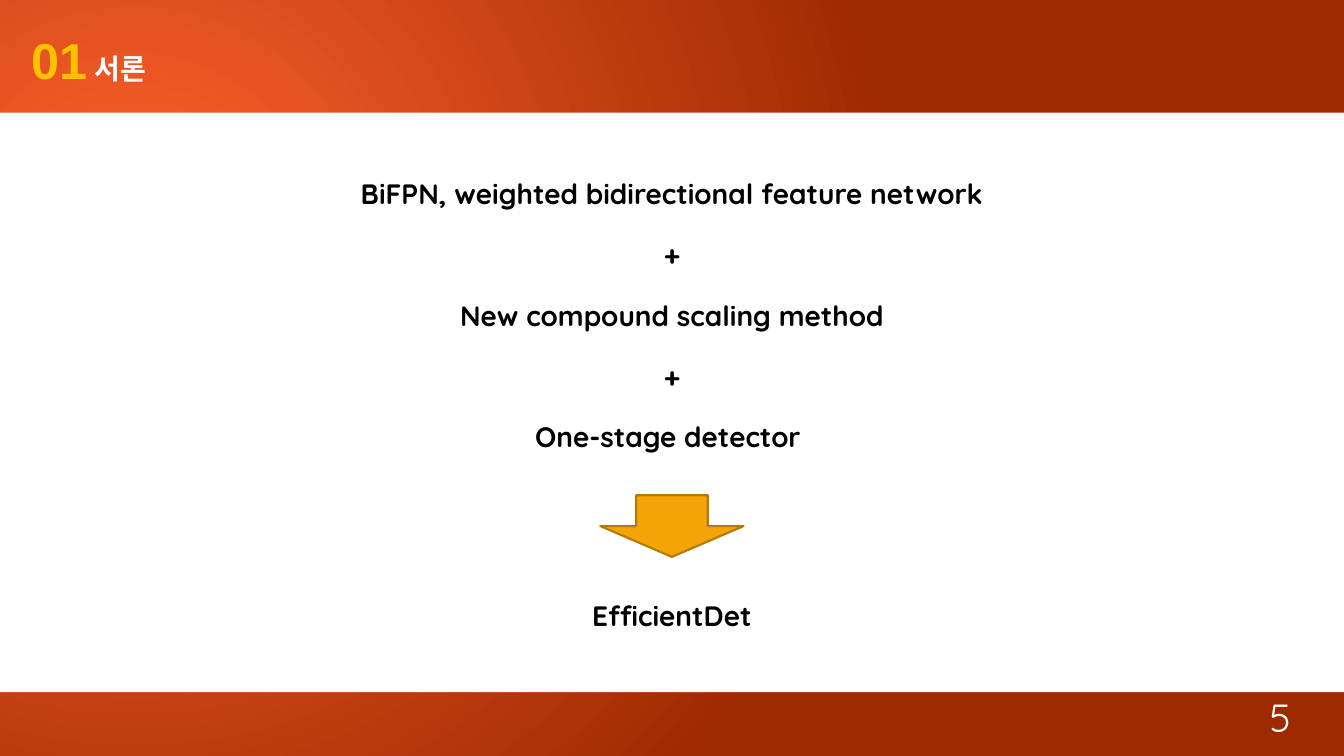
from dataclasses import dataclass

from pptx import Presentation
from pptx.dml.color import RGBColor
from pptx.enum.shapes import MSO_SHAPE
from pptx.enum.text import MSO_ANCHOR, MSO_AUTO_SIZE, PP_ALIGN
from pptx.oxml import parse_xml
from pptx.oxml.ns import nsdecls, qn
from pptx.util import Pt


@dataclass(frozen=True)
class Theme:
    glow: str = "FF622E"
    rust: str = "9E2A00"
    panel: str = "FFFFFF"
    number: dict = None
    heading: dict = None
    statement: dict = None
    page_number: dict = None
    arrow: str = "F5A408"
    arrow_line: str = "B57906"


THEME = Theme(
    number={"name": "Arial", "size": Pt(36), "bold": True, "color": "FFC000"},
    heading={"name": "Arial", "size": Pt(20), "bold": True, "color": "FFFFFF"},
    statement={"name": "Quicksand", "size": Pt(20), "bold": True, "color": "000000"},
    page_number={"name": "Quicksand", "size": Pt(28), "bold": False, "color": "FFFFFF"},
)

WIDTH, HEIGHT = 960, 540
STATEMENTS = [
    "BiFPN, weighted bidirectional feature network",
    "+",
    "New compound scaling method",
    "+",
    "One-stage detector ",
]


def add_span(para, text, style):
    span = para.add_run()
    span.text = text
    for key, value in style.items():
        if key == "color":
            span.font.color.rgb = RGBColor.from_string(value)
        else:
            setattr(span.font, key, value)


def format_frame(frame, anchor, auto_size=MSO_AUTO_SIZE.NONE):
    settings = {"word_wrap": True, "vertical_anchor": anchor, "auto_size": auto_size}
    for key, value in settings.items():
        setattr(frame, key, value)


def add_text(page, box, text, style, anchor=MSO_ANCHOR.TOP, auto_size=MSO_AUTO_SIZE.NONE):
    frame = page.shapes.add_textbox(*map(Pt, box)).text_frame
    format_frame(frame, anchor, auto_size)
    para = frame.paragraphs[0]
    para.alignment = PP_ALIGN.CENTER
    add_span(para, text, style)


def add_filled_shape(page, kind, box, color):
    shape = page.shapes.add_shape(kind, *map(Pt, box))
    shape.shadow.inherit = False
    shape.fill.solid()
    shape.fill.fore_color.rgb = RGBColor.from_string(color)
    return shape


def paint_background(page):
    fill = page.background.fill
    fill.gradient()
    for stop, color in zip(fill.gradient_stops, (THEME.glow, THEME.rust)):
        stop.color.rgb = RGBColor.from_string(color)
    gradient = page.element.find(".//" + qn("a:gradFill"))
    linear = gradient.find(qn("a:lin"))
    circle = parse_xml(
        f'<a:path {nsdecls("a")} path="circle">'
        '<a:fillToRect l="45000" t="65000" r="125000" b="100000"/></a:path>'
    )
    gradient.replace(linear, circle)


def add_header(page, box, number, heading):
    title = page.shapes.title
    for key, value in zip(("left", "top", "width", "height"), box):
        setattr(title, key, Pt(value))
    format_frame(title.text_frame, MSO_ANCHOR.MIDDLE)
    para = title.text_frame.paragraphs[0]
    para.alignment = PP_ALIGN.LEFT
    add_span(para, number, THEME.number)
    add_span(para, " " + heading, THEME.heading)


def add_content(page, box):
    left, top, width, height = box
    panel = add_filled_shape(page, MSO_SHAPE.RECTANGLE, box, THEME.panel)
    panel.line.fill.background()

    text_width, text_height, step = 629.3, 31.5, 43.5
    text_left = left + (width - text_width) / 2
    first_top = top + 42
    rows = [(first_top + step * index, text) for index, text in enumerate(STATEMENTS)]
    rows.append((top + 343.5, "EfficientDet"))
    for row_top, text in rows:
        add_text(page, (text_left, row_top, text_width, text_height), text,
                 THEME.statement, auto_size=MSO_AUTO_SIZE.SHAPE_TO_FIT_TEXT)

    arrow_width = 102.4
    arrow_box = (left + (width - arrow_width) / 2, top + 273.4, arrow_width, 44)
    arrow = add_filled_shape(page, MSO_SHAPE.DOWN_ARROW, arrow_box, THEME.arrow)
    arrow.line.color.rgb = RGBColor.from_string(THEME.arrow_line)
    arrow.line.width = Pt(1.5)


def add_footer(page, box, number):
    add_text(page, box, number, THEME.page_number, MSO_ANCHOR.BOTTOM)


def main():
    deck = Presentation()
    deck.slide_width, deck.slide_height = Pt(WIDTH), Pt(HEIGHT)
    page = deck.slides.add_slide(deck.slide_layouts.get_by_name("Title Only"))
    paint_background(page)
    add_header(page, (15, 13, 393, 58.3), "01", "서론")
    add_footer(page, (885, 503.3, 59, 28.8), "5")
    add_content(page, (0, 80.4, WIDTH, 414))
    deck.save("out.pptx")


if __name__ == "__main__":
    main()
